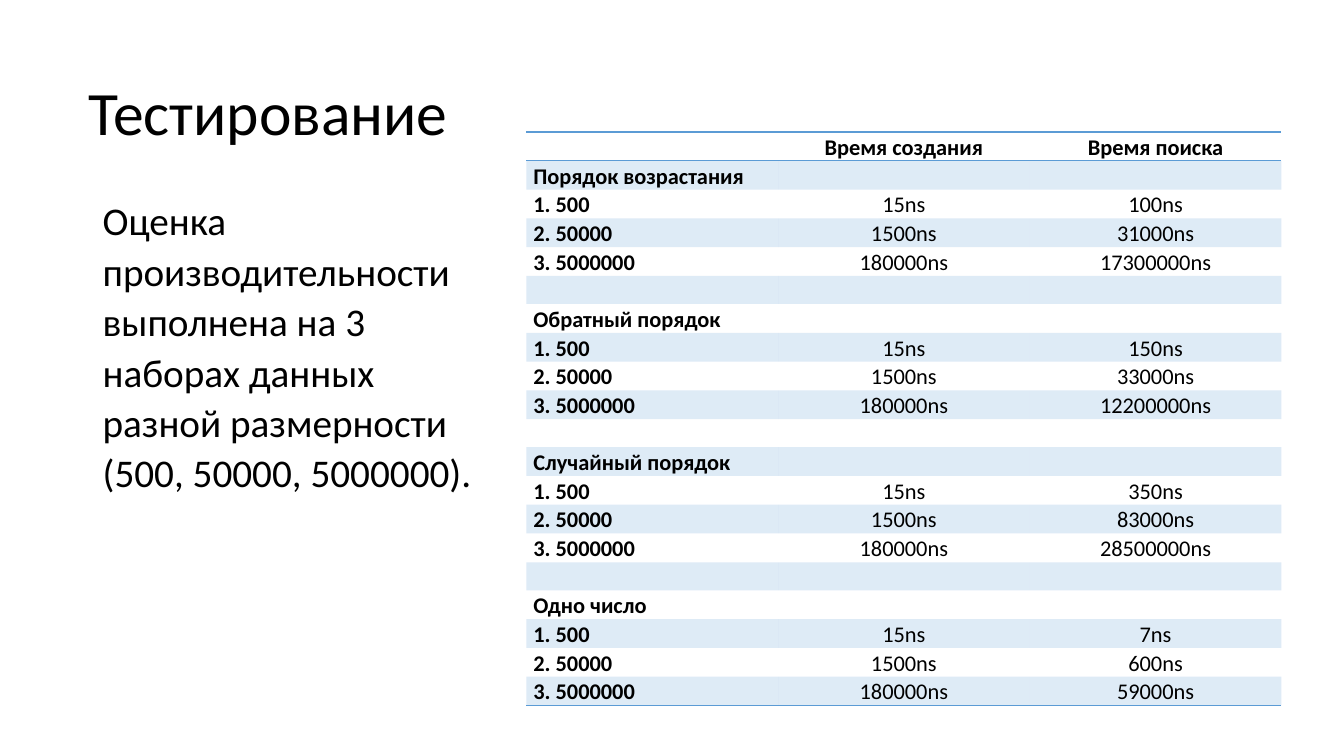
from lxml.etree import SubElement
from pptx import Presentation
from pptx.dml.color import RGBColor
from pptx.enum.text import MSO_ANCHOR, PP_ALIGN
from pptx.oxml.ns import qn
from pptx.util import Inches, Pt

BLUE = "5B9BD5"
BLACK = "000000"
NO_STYLE = "{2D5ABB26-0587-4C30-8999-92F81FD0307C}"
SIZES = ["1. 500", "2. 50000", "3. 5000000"]
CREATION_TIMES = ["15ns", "1500ns", "180000ns"]
SEARCH_TIMES = {
    "Порядок возрастания": ["100ns", "31000ns", "17300000ns"],
    "Обратный порядок": ["150ns", "33000ns", "12200000ns"],
    "Случайный порядок": ["350ns", "83000ns", "28500000ns"],
    "Одно число": ["7ns", "600ns", "59000ns"],
}


def rgb(color):
    return RGBColor.from_string(color)


def write(tf, text, size, bold=False, align=PP_ALIGN.LEFT, spacing=1.07, after=8):
    p = tf.paragraphs[0]
    p.alignment = align
    p.line_spacing = spacing
    p.space_after = Pt(after)
    r = p.add_run()
    r.text = text
    r.font.name = "Calibri"
    r.font.size = Pt(size)
    r.font.bold = bold
    r.font.color.rgb = rgb(BLACK)


def place(shape, left, top, width, height):
    shape.left, shape.top = Inches(left), Inches(top)
    shape.width, shape.height = Inches(width), Inches(height)


def add_title(slide, left, top, width, height):
    title = slide.shapes.title
    place(title, left, top, width, height)
    title.text_frame.vertical_anchor = MSO_ANCHOR.MIDDLE
    write(title.text_frame, "Тестирование", 44, spacing=0.9, after=0)


def add_summary(slide, left, top, width, height):
    box = slide.shapes.add_textbox(Inches(left), Inches(top), Inches(width), Inches(height))
    box.text_frame.word_wrap = True
    write(box.text_frame,
          "Оценка производительности выполнена на 3 наборах данных "
          "разной размерности (500, 50000, 5000000).", 28)


def add_border(cell, side):
    """Draw a 1 pt line on one side, lnT or lnB; call before the cell is filled."""
    line = SubElement(cell._tc.get_or_add_tcPr(), qn(f"a:{side}"), w=str(Pt(1)))
    fill = SubElement(line, qn("a:solidFill"))
    SubElement(fill, qn("a:srgbClr"), val=BLUE)


def fill_band(cell):
    cell.fill.solid()
    cell.fill.fore_color.rgb = rgb(BLUE)
    color = cell._tc.tcPr.find(f"{qn('a:solidFill')}/{qn('a:srgbClr')}")
    SubElement(color, qn("a:alpha"), val="20000")


def timing_rows():
    """Header, then one group per data order, with an empty row between groups."""
    rows = [["", "Время создания", "Время поиска"]]
    for order, searches in SEARCH_TIMES.items():
        if len(rows) > 1:
            rows.append([""] * 3)
        rows.append([order, "", ""])
        rows.extend(zip(SIZES, CREATION_TIMES, searches))
    return rows


def format_cell(cell, text, row, col, last_row):
    cell.margin_left = cell.margin_right = Inches(0.07)
    cell.margin_top = cell.margin_bottom = 0
    if text:
        write(cell.text_frame, text, 16, bold=row == 0 or col == 0,
              align=PP_ALIGN.CENTER if col else PP_ALIGN.LEFT)
    else:
        cell.text_frame.paragraphs[0].font.size = Pt(12)
    if row == 0:
        add_border(cell, "lnT")
    if row in (0, last_row):
        add_border(cell, "lnB")
    if row % 2:
        fill_band(cell)
    else:
        cell.fill.background()


def add_timings(slide, left, top, width, height):
    rows = timing_rows()
    frame = slide.shapes.add_table(len(rows), 3, Inches(left), Inches(top),
                                   Inches(width), Inches(height))
    table = frame.table
    table.first_row = table.horz_banding = False
    table._tbl.tblPr.find(qn("a:tableStyleId")).text = NO_STYLE
    for i, row in enumerate(rows):
        for j, text in enumerate(row):
            format_cell(table.cell(i, j), text, i, j, len(rows) - 1)


def main():
    prs = Presentation()
    prs.slide_width, prs.slide_height = Inches(13.33), Inches(7.5)
    slide = prs.slides.add_slide(prs.slide_layouts[5])
    add_title(slide, 0.78, 0.42, 11.5, 1.45)
    add_summary(slide, 0.92, 1.87, 4.02, 3.54)
    add_timings(slide, 5.22, 1.31, 7.49, 5.58)
    prs.save("out.pptx")


if __name__ == "__main__":
    main()
